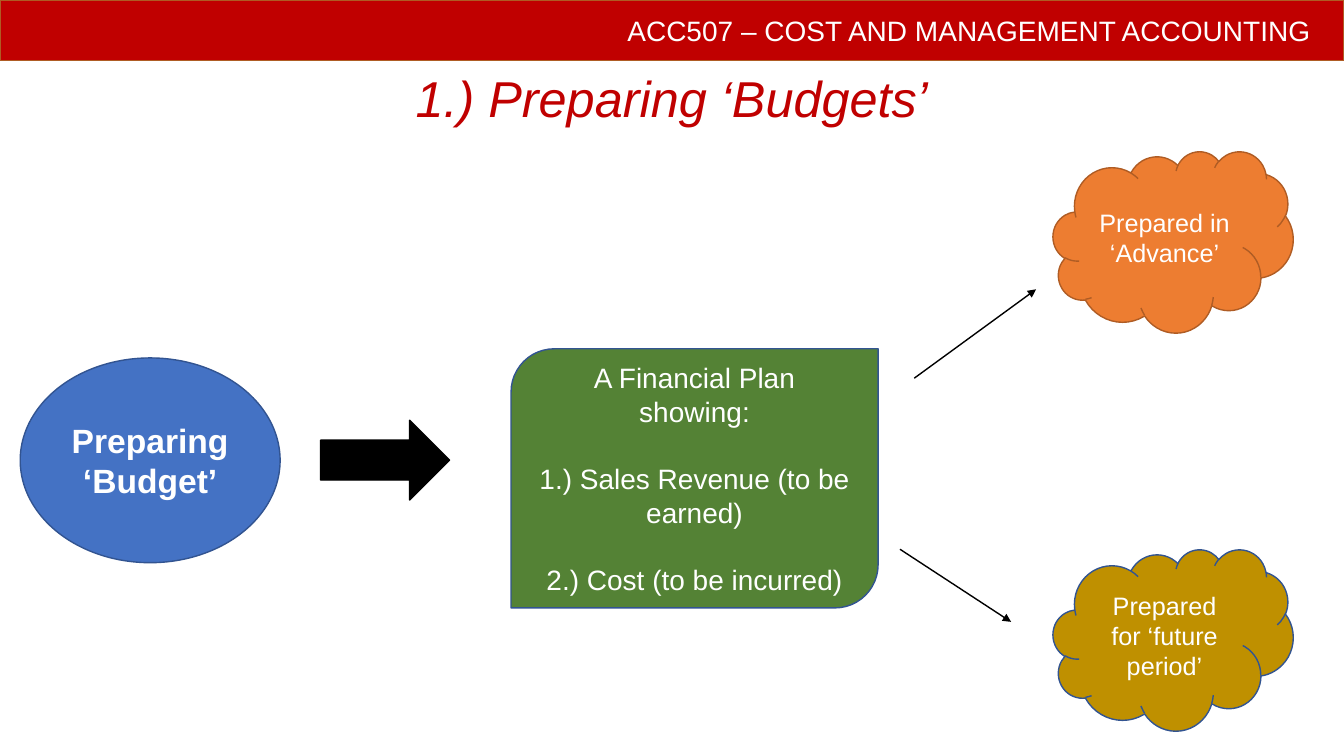
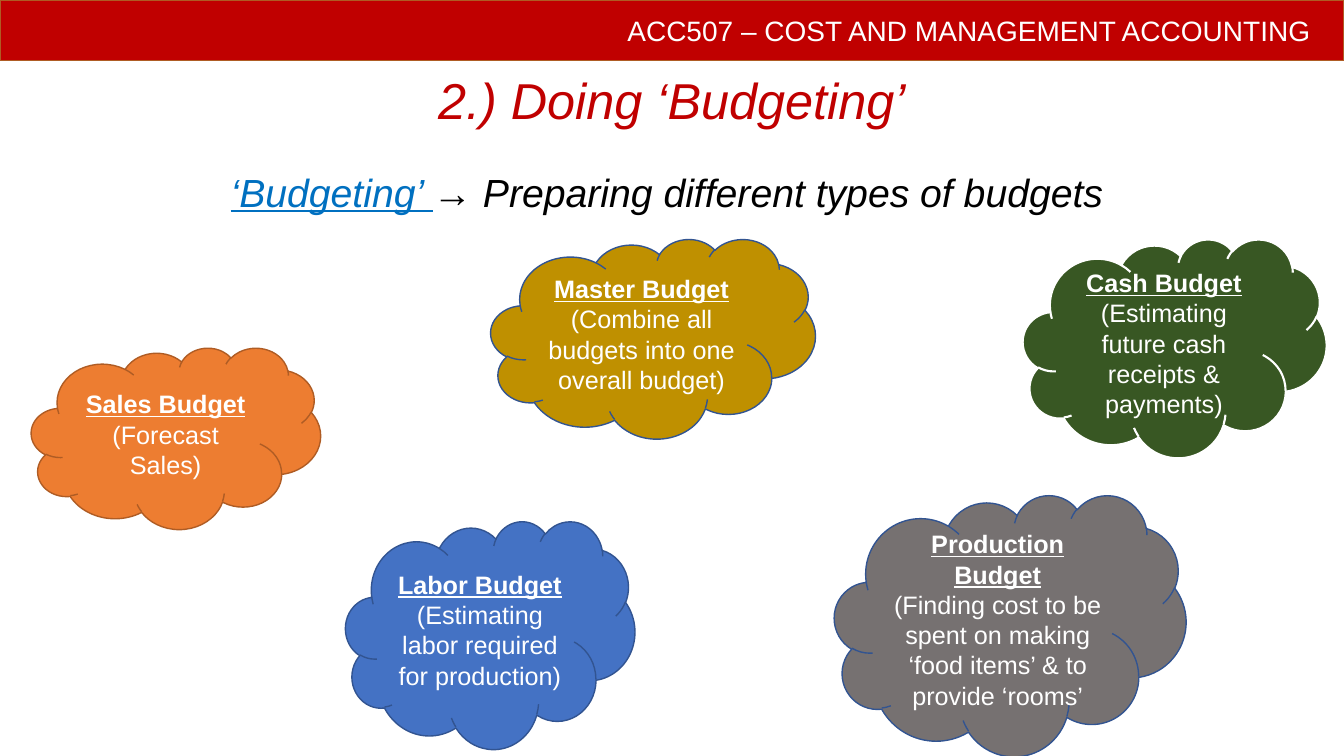
from dataclasses import dataclass

from lxml.etree import SubElement
from pptx import Presentation
from pptx.dml.color import RGBColor
from pptx.enum.shapes import MSO_CONNECTOR as Connector, MSO_SHAPE as Shape
from pptx.enum.text import MSO_ANCHOR as Anchor, MSO_AUTO_SIZE as AutoSize, PP_ALIGN as Align
from pptx.oxml.ns import qn
from pptx.util import Cm, Pt


@dataclass(frozen=True)
class Theme:
    font: str = "Arial"
    red: str = "C00000"
    orange: str = "ED7D31"
    gold: str = "BF9000"
    blue: str = "4472C4"
    green: str = "548235"
    dark_green: str = "385723"
    grey: str = "767171"
    term: str = "0070C0"
    black: str = "000000"
    white: str = "FFFFFF"
    orange_edge: str = "AF5C24"
    blue_edge: str = "325491"
    title_size: int = 36
    lead_size: int = 28
    topic_size: int = 24
    plan_size: int = 20
    cloud_size: int = 18


THEME = Theme()
TITLE_ONLY = 5
COURSE = "ACC507 – COST AND MANAGEMENT ACCOUNTING"


def rgb(code):
    return RGBColor.from_string(code)


def add_run(paragraph, text, size, color=THEME.white, bold=False, italic=False, underline=False):
    run = paragraph.add_run()
    run.text = text
    font = run.font
    font.name, font.size = THEME.font, Pt(size)
    font.bold, font.italic, font.underline = bold, italic, underline
    font.color.rgb = rgb(color)


def add_lines(paragraph, lines, size, **style):
    for number, line in enumerate(lines):
        if number:
            paragraph.add_line_break()
        add_run(paragraph, line, size, **style)


def add_block(slide, kind, box, fill, edge=THEME.blue_edge, edge_width=1):
    """Add a filled, outlined shape; box is left, top, width, height in cm."""
    block = slide.shapes.add_shape(kind, *map(Cm, box))
    block.shadow.inherit = False
    block.fill.solid()
    block.fill.fore_color.rgb = rgb(fill)
    block.line.color.rgb = rgb(edge)
    block.line.width = Pt(edge_width)
    frame = block.text_frame
    frame.word_wrap = True
    frame.vertical_anchor = Anchor.MIDDLE
    frame.paragraphs[0].alignment = Align.CENTER
    return block


def add_cloud(slide, box, fill, detail, heading=None, **edge):
    paragraph = add_block(slide, Shape.CLOUD, box, fill, **edge).text_frame.paragraphs[0]
    if heading:
        add_run(paragraph, heading, THEME.cloud_size, bold=True, underline=True)
        paragraph.add_line_break()
    add_run(paragraph, detail, THEME.cloud_size)


def add_pointer(slide, start, end):
    pointer = slide.shapes.add_connector(Connector.STRAIGHT, *map(Cm, start + end))
    pointer.line.color.rgb = rgb(THEME.black)
    pointer.line.width = Pt(1)
    SubElement(pointer.line._get_or_add_ln(), qn("a:tailEnd"), type="triangle")
    SubElement(pointer.element.spPr, qn("a:effectLst"))


def add_course_band(slide):
    """Build the band and move it to the layout, where every slide shows it."""
    band = add_block(slide, Shape.RECTANGLE, (0, 0, 33.87, 1.52), THEME.red, THEME.orange_edge)
    band.text_frame.margin_right = Cm(0.84)
    paragraph = band.text_frame.paragraphs[0]
    paragraph.alignment = Align.RIGHT
    add_run(paragraph, COURSE, THEME.plan_size)
    band.element.nvSpPr.cNvPr.set("id", "100")
    slide.slide_layout.shapes.element.insert(2, band.element)


def add_titled_slide(deck, text, height):
    slide = deck.slides.add_slide(deck.slide_layouts[TITLE_ONLY])
    title = slide.shapes.title
    title.left, title.top, title.width, title.height = map(Cm, (2.33, 1.88, 29.21, height))
    frame = title.text_frame
    frame.word_wrap = True
    frame.auto_size = AutoSize.NONE
    frame.vertical_anchor = Anchor.MIDDLE
    paragraph = frame.paragraphs[0]
    paragraph.alignment = Align.CENTER
    paragraph.line_spacing = 0.9
    add_run(paragraph, text, THEME.title_size, THEME.red, italic=True)
    return slide


def add_lead(slide, term, meaning):
    frame = slide.shapes.add_textbox(*map(Cm, (2.2, 4.24, 29.21, 1.4))).text_frame
    frame.word_wrap = True
    paragraph = frame.paragraphs[0]
    paragraph.alignment = Align.CENTER
    paragraph.line_spacing = 0.9
    add_run(paragraph, term, THEME.lead_size, THEME.term, italic=True, underline=True)
    add_run(paragraph, meaning, THEME.lead_size, THEME.black, italic=True)


def add_plan(slide):
    plan = add_block(slide, Shape.ROUND_2_DIAG_RECTANGLE, (12.88, 8.79, 9.25, 6.53), THEME.green)
    frame = plan.text_frame
    add_lines(frame.paragraphs[0], ("A Financial Plan", "showing:"), THEME.plan_size)
    for item in ("1.) Sales Revenue (to be earned)", "2.) Cost (to be incurred)"):
        paragraph = frame.add_paragraph()
        paragraph.alignment = Align.CENTER
        paragraph.space_before = Pt(24)
        add_run(paragraph, item, THEME.plan_size)


def build_preparing(deck):
    slide = add_titled_slide(deck, "1.) Preparing ‘Budgets’", 1.32)
    add_course_band(slide)
    topic = add_block(slide, Shape.OVAL, (0.51, 9.02, 6.55, 5.16), THEME.blue)
    add_lines(topic.text_frame.paragraphs[0], ("Preparing", "‘Budget’"), THEME.topic_size, bold=True)
    add_plan(slide)
    add_cloud(slide, (26.54, 3.81, 6.05, 4.57), THEME.orange, "Prepared in ‘Advance’",
              edge=THEME.orange_edge)
    add_cloud(slide, (26.54, 13.84, 6.05, 4.57), THEME.gold, "Prepared for ‘future period’")
    add_block(slide, Shape.RIGHT_ARROW, (8.08, 10.59, 3.25, 2.01), THEME.black, THEME.black)
    add_pointer(slide, (23.04, 9.53), (26.11, 7.29))
    add_pointer(slide, (22.68, 13.84), (25.48, 15.67))


def build_budgeting(deck):
    slide = add_titled_slide(deck, "2.) Doing ‘Budgeting’", 1.42)
    add_lead(slide, "‘Budgeting’ ", "→ Preparing different types of budgets")
    add_cloud(slide, (0.79, 8.76, 7.29, 4.57), THEME.orange, "(Forecast Sales)",
              "Sales Budget", edge=THEME.orange_edge)
    add_cloud(slide, (12.37, 6.02, 8.18, 5.03), THEME.gold,
              "(Combine all budgets into one overall budget)", "Master Budget")
    add_cloud(slide, (8.71, 13.13, 7.29, 5.74), THEME.blue,
              "(Estimating labor required for production)", "Labor Budget")
    add_cloud(slide, (25.78, 6.02, 7.65, 5.51), THEME.dark_green,
              "(Estimating future cash receipts & payments)", "Cash Budget",
              edge=THEME.white, edge_width=1.5)
    add_cloud(slide, (21.03, 12.47, 8.86, 6.58), THEME.grey,
              "(Finding cost to be spent on making ‘food items’ & to provide ‘rooms’",
              "Production Budget")


def main():
    deck = Presentation()
    deck.slide_width, deck.slide_height = Cm(33.87), Cm(19.05)
    build_preparing(deck)
    build_budgeting(deck)
    deck.save("out.pptx")


if __name__ == "__main__":
    main()
